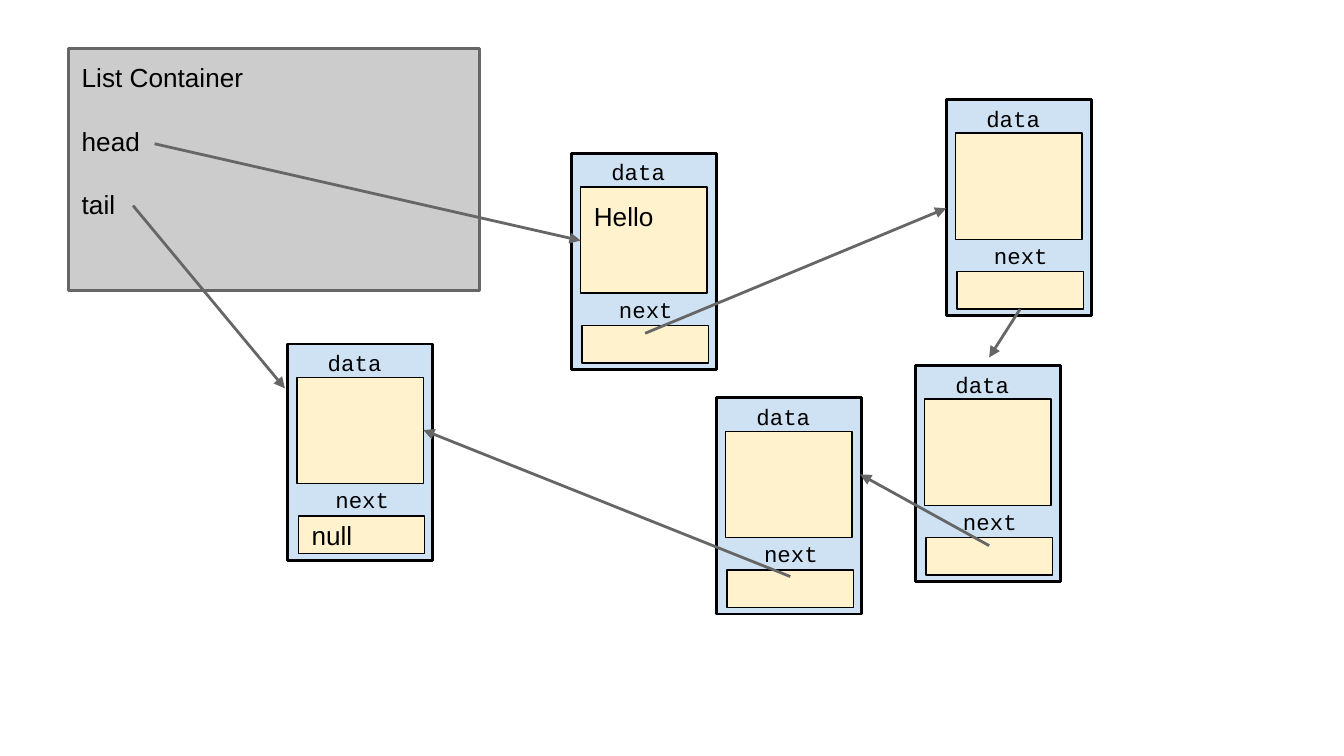
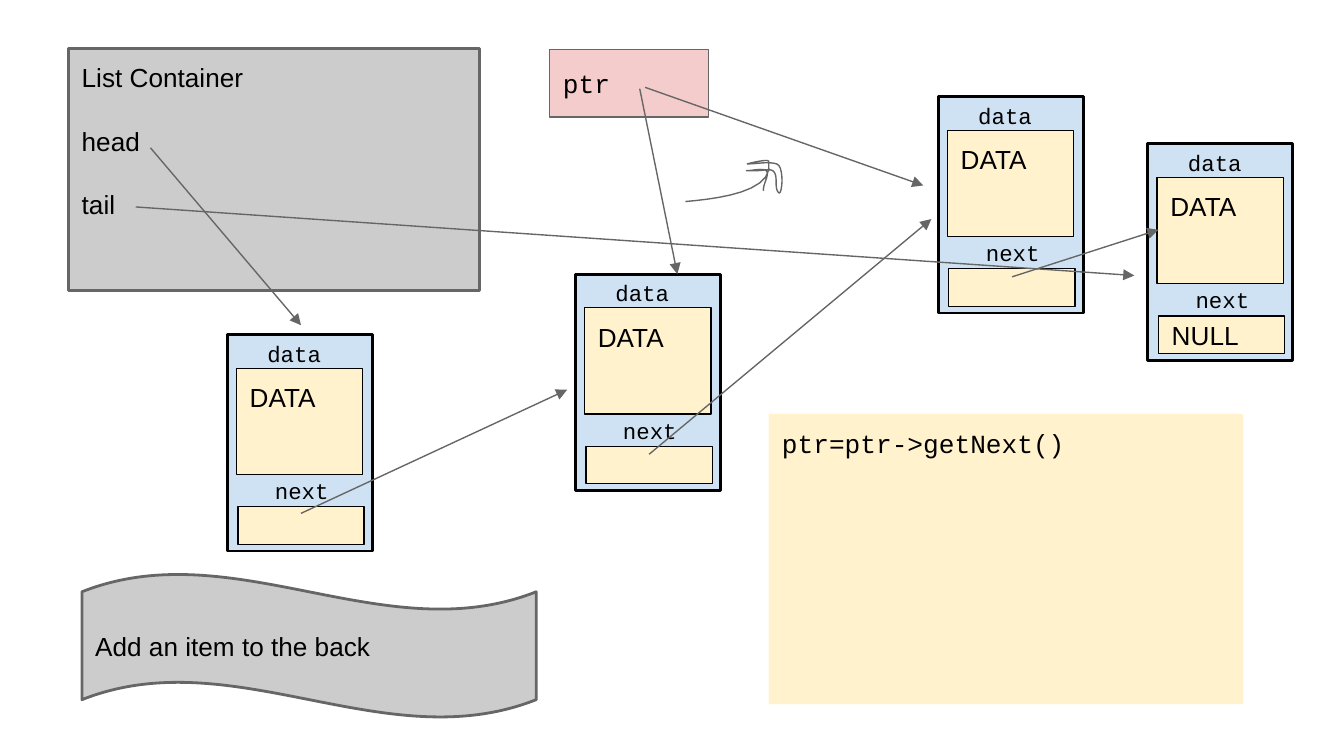
from lxml import etree
from pptx import Presentation
from pptx.dml.color import RGBColor
from pptx.enum.shapes import MSO_CONNECTOR, MSO_SHAPE
from pptx.enum.text import MSO_ANCHOR, PP_ALIGN
from pptx.oxml.ns import qn
from pptx.util import Inches, Pt

RECT, WAVE = MSO_SHAPE.RECTANGLE, MSO_SHAPE.WAVE
STRAIGHT = MSO_CONNECTOR.STRAIGHT
TOP, MIDDLE = MSO_ANCHOR.TOP, MSO_ANCHOR.MIDDLE
LEFT, CENTER = PP_ALIGN.LEFT, PP_ALIGN.CENTER

COLUMNS, ROWS = 100, 56.25
CELL = Inches(0.1)
SANS, MONO = "Arial", "Courier New"
BLACK, GRAY, SILVER = "000000", "666666", "CCCCCC"
BLUE, CREAM, PINK = "CFE2F3", "FFF2CC", "F4CCCC"
THIN, THICK = 0.75, 1.5
LIST_GAP = 17
CURVE_STEPS = 10


def grid(*cells):
    """Turn grid columns and rows into slide lengths."""
    return [round(cell * CELL) for cell in cells]


def rgb(color):
    """Turn a hex string into a colour."""
    return RGBColor.from_string(color)


def write(shape, text, font=SANS, size=14, anchor=TOP, align=LEFT, gap=0):
    """Put text in a shape and format it."""
    frame = shape.text_frame
    frame.text = text
    frame.word_wrap = True
    frame.vertical_anchor = anchor
    frame.margin_left = frame.margin_right = CELL
    frame.margin_top = frame.margin_bottom = CELL
    for index, paragraph in enumerate(frame.paragraphs):
        paragraph.alignment = align
        paragraph.space_before = Pt(gap if index else 0)
        for run in paragraph.runs:
            run.font.name = font
            run.font.size = Pt(size)
            run.font.color.rgb = rgb(BLACK)


def outline(shape, color, width):
    """Give a shape its line, or none where the width is zero."""
    if width:
        shape.line.color.rgb = rgb(color)
        shape.line.width = Pt(width)
    else:
        shape.line.fill.background()


def box(shapes, place, fill, edge=BLACK, width=THIN, text="", kind=RECT, **style):
    """Draw a filled shape with optional text."""
    shape = shapes.add_shape(kind, *grid(*place))
    shape.shadow.inherit = False
    shape.fill.solid()
    shape.fill.fore_color.rgb = rgb(fill)
    outline(shape, edge, width)
    if text:
        write(shape, text, **style)


def label(shapes, left, top, text, align=LEFT):
    """Write the name of a node's field."""
    field = shapes.add_textbox(*grid(left, top, 7.1, 3.8))
    write(field, text, font=MONO, size=12, align=align)


def node(slide, left, top, data="", link=""):
    """Draw a list node with its data and next fields."""
    parts = slide.shapes.add_group_shape().shapes
    box(parts, (left, top, 10.8, 16.1), BLUE, width=THICK)
    box(parts, (left + 0.8, top + 12.8, 9.4, 2.8), CREAM, text=link, anchor=MIDDLE)
    label(parts, left + 2, top + 9.6, "next", CENTER)
    label(parts, left + 2, top - 0.6, "data")
    box(parts, (left + 0.7, top + 2.5, 9.4, 7.9), CREAM, text=data)


def container(slide):
    """Draw the list container with its two pointers."""
    box(slide.shapes, (5.1, 3.6, 30.6, 18), SILVER, GRAY, THICK,
        "List Container\nhead\ntail", gap=LIST_GAP)


def arrow(slide, ends, width):
    """Draw a pointer that ends in a triangle."""
    pointer = slide.shapes.add_connector(STRAIGHT, *grid(*ends))
    outline(pointer, GRAY, width)
    etree.SubElement(pointer.line._get_or_add_ln(), qn("a:tailEnd"), type="triangle")
    etree.SubElement(pointer._element.spPr, qn("a:effectLst"))


def bezier(start, control_1, control_2, end, share):
    """Find the point at a share of a cubic curve."""
    rest = 1 - share
    weights = rest ** 3, 3 * rest ** 2 * share, 3 * rest * share ** 2, share ** 3
    return tuple(sum(weight * value for weight, value in zip(weights, axis))
                 for axis in zip(start, control_1, control_2, end))


def scribble(slide, start, curves):
    """Draw an open hand-drawn stroke along cubic curves."""
    points, pen = [], start
    for curve in curves:
        points += [tuple(grid(*bezier(pen, *curve, step / CURVE_STEPS)))
                   for step in range(1, CURVE_STEPS + 1)]
        pen = curve[-1]
    builder = slide.shapes.build_freeform(*grid(*start))
    builder.add_line_segments(points, close=False)
    stroke = builder.convert_to_shape()
    stroke.shadow.inherit = False
    stroke.fill.background()
    outline(stroke, GRAY, THIN)


def linked_list(slide):
    """Show a list whose nodes lie scattered in memory."""
    nodes = [(42.5, 11.4, "Hello"), (68.1, 27.2), (21.4, 25.6, "", "null"),
             (70.4, 7.4), (53.3, 29.6)]
    pointers = [(11.5, 10.7, 43.2, 17.9), (48, 24.8, 70.4, 15.5),
                (75.9, 23, 73.6, 26.6), (73.6, 40.6, 64, 35.3),
                (58.8, 42.9, 31.5, 32), (9.9, 15.3, 21.2, 28.9)]
    for item in nodes:
        node(slide, *item)
    container(slide)
    for ends in pointers:
        arrow(slide, ends, THICK)


def traversal(slide):
    """Show a pointer that moves along the list to its back."""
    nodes = [(69.8, 7.2), (42.8, 20.4), (16.9, 24.9), (85.4, 10.7, "NULL")]
    pointers = [(11.2, 11, 22.4, 24.2), (10.1, 15.4, 84.4, 20.5),
                (48.3, 33.8, 69.3, 16.3), (22.4, 38.2, 42.2, 29),
                (75.3, 20.6, 86.2, 17.1), (47.6, 6.6, 50.4, 20.4),
                (48, 6.5, 68.7, 13.8)]
    advance = [((53.3, 14.8), (57.7, 14.3), (57.2, 12)),
               ((57.1, 11.8), (55.6, 12.2), (55.6, 12.2)),
               ((56.4, 12.2), (57.1, 12), (57.8, 12.2)),
               ((58.4, 12.4), (58.2, 14.8), (57.9, 14.3)),
               ((57.6, 13.9), (57.9, 13.2), (57.6, 12.8)),
               ((57.4, 12.5), (56.8, 12.7), (56.4, 12.7)),
               ((56.1, 12.7), (55.3, 12.7), (55.6, 12.7)),
               ((56.1, 12.7), (57.1, 12.4), (57.1, 12.9)),
               ((57.1, 13.3), (56.8, 13.7), (56.8, 14.2))]
    container(slide)
    box(slide.shapes, (6.1, 42.7, 33.8, 10.7), SILVER, GRAY, THICK,
        "Add an item to the back", WAVE, anchor=MIDDLE)
    box(slide.shapes, (57.2, 30.8, 35.3, 21.6), CREAM, width=0,
        text="ptr=ptr->getNext()", font=MONO)
    for left, top, *link in nodes:
        node(slide, left, top, "DATA", *link)
    box(slide.shapes, (40.9, 3.7, 11.8, 5), PINK, GRAY, text="ptr",
        font=MONO, anchor=MIDDLE)
    for ends in pointers:
        arrow(slide, ends, THIN)
    scribble(slide, (51, 15), advance)


def main():
    """Build both slides and save them."""
    deck = Presentation()
    deck.slide_width, deck.slide_height = grid(COLUMNS, ROWS)
    blank = deck.slide_layouts[6]
    for draw in (linked_list, traversal):
        draw(deck.slides.add_slide(blank))
    deck.save("out.pptx")


main()
